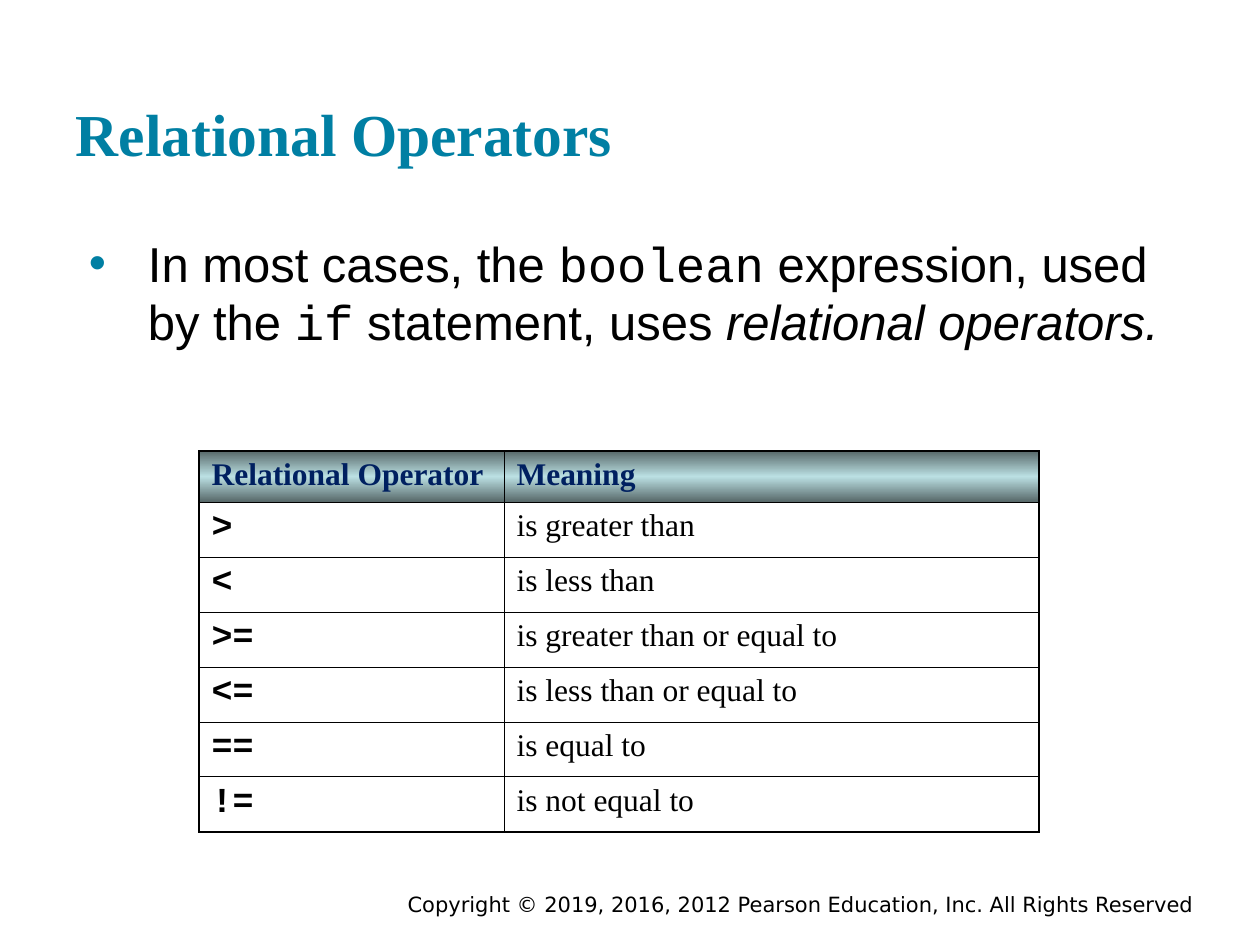
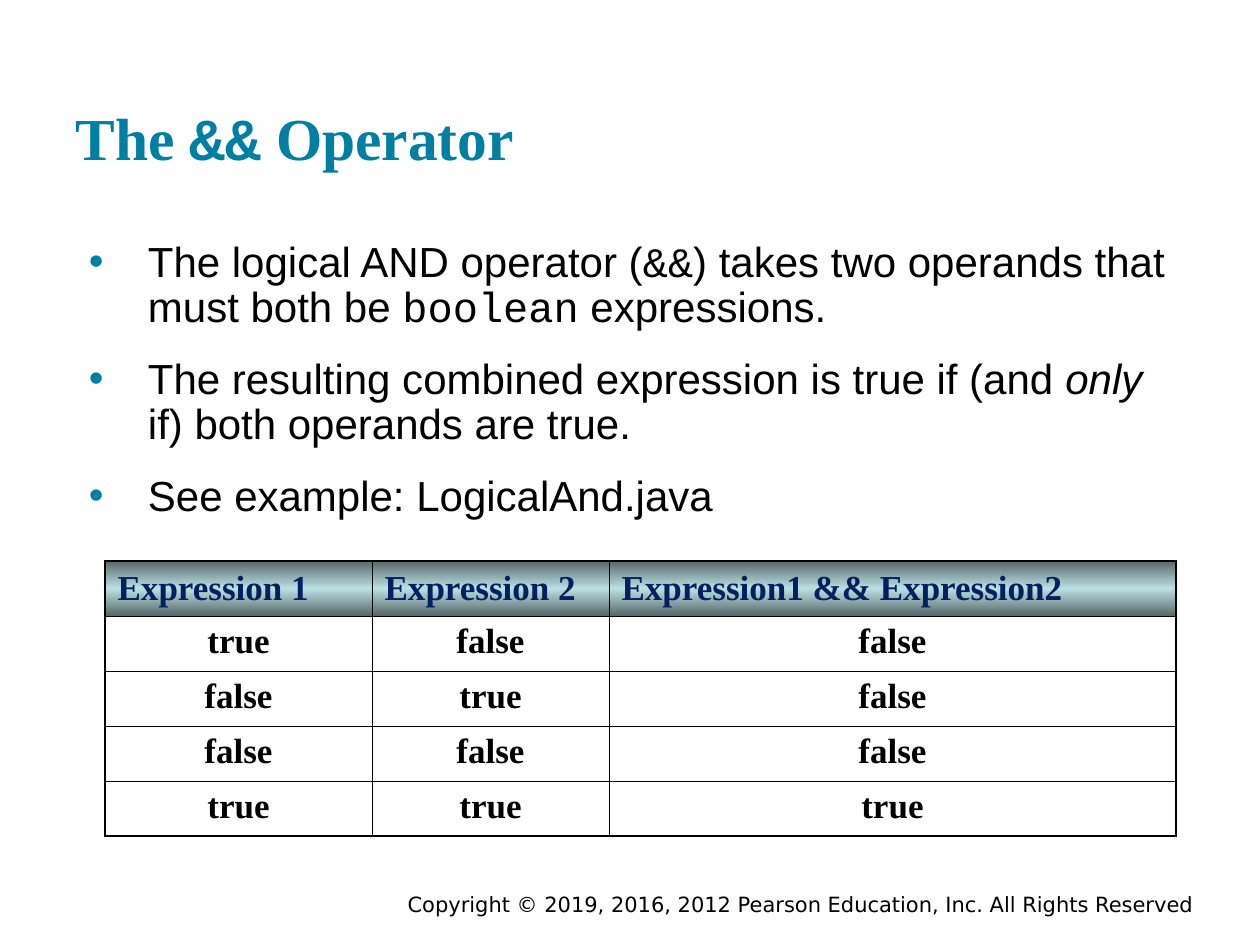
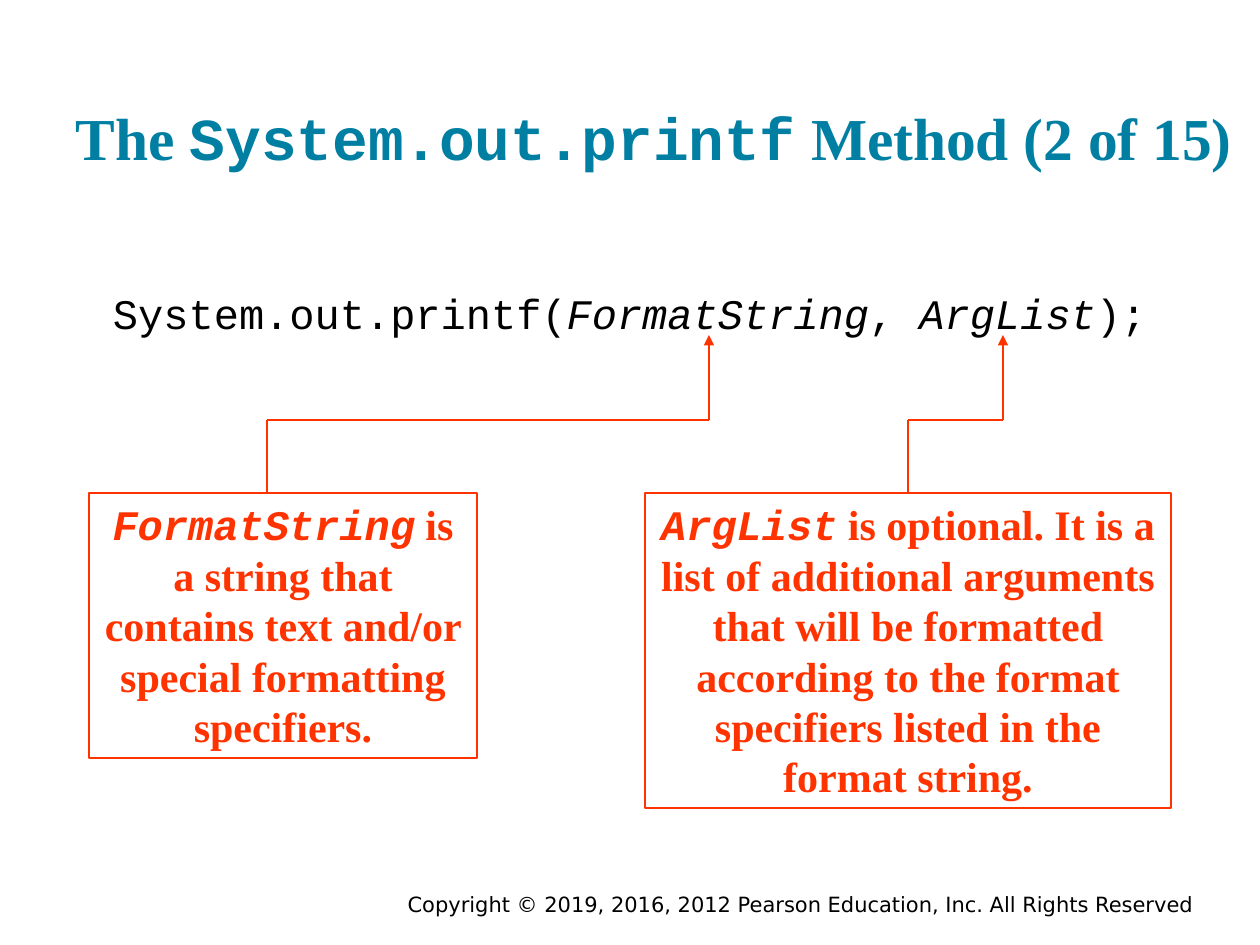
import pptx
import pptx.dml.color
import pptx.enum.shapes
import pptx.enum.text
import pptx.oxml
import pptx.oxml.ns
import pptx.util

PX = 914400 / 126
ALIGN = pptx.enum.text.PP_ALIGN
ANCHOR = pptx.enum.text.MSO_ANCHOR
FIT = pptx.enum.text.MSO_AUTO_SIZE

# Shared colours and type styles
TEAL, NAVY, RED, BLACK = "007FA3", "002060", "FF3300", "000000"
HEADER_GRADIENT = [(0, "576869"), (50, "BBE0E3"), (100, "576869")]
OUTER_BORDER, INNER_BORDER = 1.08, 0.45

TITLE = {"size": 34, "name": "Times New Roman", "bold": True, "color": TEAL}
BODY = {"size": 28, "name": "Arial", "color": BLACK}
SMALL_BODY = BODY | {"size": 24}
LISTING = {"size": 24, "name": "Courier New", "color": BLACK}
CALLOUT = {"size": 24, "name": "Times New Roman", "bold": True, "color": RED}
FOOTER = {"size": 12, "name": "DejaVu Sans", "color": BLACK}
HEADING = {"size": 18, "name": "Times New Roman", "bold": True, "color": NAVY}
MEANING = {"size": 18, "name": "Times New Roman", "color": BLACK}
OPERATOR = {"size": 20, "name": "Courier New", "bold": True, "color": BLACK}
TRUTH = OPERATOR | {"name": "Times New Roman"}

# Changes a run makes to the style of its paragraph
CODE = {"name": "Courier New"}
ITALIC = {"italic": True}


def px(length):
    return pptx.util.Emu(round(length * PX))


def rgb(value):
    return pptx.dml.color.RGBColor.from_string(value)


def drawing_xml(xml):
    """Parse one element of the drawing namespace."""
    namespace = pptx.oxml.ns.nsdecls("a")
    return pptx.oxml.parse_xml(f"<a:wrap {namespace}>{xml}</a:wrap>")[0]


def set_values(target, values):
    for attribute, value in values.items():
        setattr(target, attribute, value)


def format_font(font, style):
    values = dict(style)
    font.color.rgb = rgb(values.pop("color"))
    values["size"] = pptx.util.Pt(values["size"])
    set_values(font, values)


def write_runs(paragraph, runs, style, **layout):
    """Fill a paragraph with strings or (string, style change) pairs."""
    set_values(paragraph, layout)
    for part in runs:
        text, change = (part, {}) if isinstance(part, str) else part
        run = paragraph.add_run()
        run.text = text
        format_font(run.font, style | change)


def set_frame(frame, horizontal=13, vertical=6, **values):
    margins = {"margin_left": px(horizontal), "margin_right": px(horizontal),
               "margin_top": px(vertical), "margin_bottom": px(vertical)}
    set_values(frame, margins | {"word_wrap": True} | values)


def add_text(slide, box, **frame_values):
    textbox = slide.shapes.add_textbox(*map(px, box))
    set_frame(textbox.text_frame, **frame_values)
    return textbox


def add_footer(slide, layout):
    """Write the copyright line and hand it to the layout all slides use."""
    footer = add_text(slide, (220, 886, 987, 28))
    write_runs(footer.text_frame.paragraphs[0],
               ["Copyright © 2019, 2016, 2012 Pearson Education, Inc. "
                "All Rights Reserved"], FOOTER, alignment=ALIGN.RIGHT)
    layout.element.cSld.spTree.append(footer.element)


def add_title(slide, runs, top=34, width=1134):
    title = slide.shapes.title
    set_values(title, {"left": px(63), "top": px(top),
                       "width": px(width), "height": px(151)})
    set_frame(title.text_frame, vertical=13, auto_size=FIT.NONE,
              vertical_anchor=ANCHOR.BOTTOM)
    write_runs(title.text_frame.paragraphs[0], runs, TITLE,
               alignment=ALIGN.LEFT)


def add_bullets(slide, top, items, style, line_spacing=1.0):
    frame = add_text(slide, (63, top, 1134, 624), vertical=13).text_frame
    for index, runs in enumerate(items):
        paragraph = frame.add_paragraph() if index else frame.paragraphs[0]
        properties = paragraph._p.get_or_add_pPr()
        properties.set("marL", str(px(72)))
        properties.set("indent", str(px(-59)))
        properties.append(drawing_xml(
            f'<a:buClr><a:srgbClr val="{TEAL}"/></a:buClr>'))
        properties.append(drawing_xml('<a:buFont typeface="Arial"/>'))
        properties.append(drawing_xml('<a:buChar char="•"/>'))
        write_runs(paragraph, runs, style, line_spacing=line_spacing,
                   space_before=pptx.util.Pt(15 if index else 0))


def add_borders(cell, edges):
    """Draw cell borders; edges says which sides lie on the table's rim."""
    properties = cell._tc.get_or_add_tcPr()
    for side in "LRTB":
        width = OUTER_BORDER if side in edges else INNER_BORDER
        properties.append(drawing_xml(
            f'<a:ln{side} w="{pptx.util.Pt(width)}"><a:solidFill>'
            f'<a:srgbClr val="{BLACK}"/></a:solidFill></a:ln{side}>'))


def fill_header(cell):
    stops = "".join(
        f'<a:gs pos="{place * 1000}"><a:srgbClr val="{color}"/></a:gs>'
        for place, color in HEADER_GRADIENT)
    cell._tc.get_or_add_tcPr().append(drawing_xml(
        f'<a:gradFill rotWithShape="1"><a:gsLst>{stops}</a:gsLst>'
        '<a:lin ang="5400000" scaled="1"/></a:gradFill>'))


def add_grid(slide, corner, widths, heights, rows, heading, column_styles,
             alignment=ALIGN.LEFT, heading_anchor=ANCHOR.TOP):
    table = slide.shapes.add_table(
        len(rows), len(widths), *map(px, corner),
        px(sum(widths)), px(sum(heights))).table
    set_values(table, {"first_row": False, "horz_banding": False})
    for column, width in zip(table.columns, widths):
        column.width = px(width)
    for y, texts in enumerate(rows):
        table.rows[y].height = px(heights[y])
        for x, text in enumerate(texts):
            cell = table.cell(y, x)
            rim = {"L": x == 0, "R": x == len(widths) - 1,
                   "T": y == 0, "B": y == len(rows) - 1}
            add_borders(cell, [side for side in rim if rim[side]])
            paragraph = cell.text_frame.paragraphs[0]
            if y == 0:
                fill_header(cell)
                cell.vertical_anchor = heading_anchor
                write_runs(paragraph, [text], heading)
            else:
                cell.fill.background()
                write_runs(paragraph, [text], column_styles[x],
                           alignment=alignment)


def add_line(slide, start, end, arrow=False):
    line = slide.shapes.add_connector(
        pptx.enum.shapes.MSO_CONNECTOR.STRAIGHT, *map(px, start + end))
    line.line.color.rgb = rgb(RED)
    line.line.width = pptx.util.Pt(0.75)
    if arrow:
        line.line._get_or_add_ln().append(
            drawing_xml('<a:tailEnd type="triangle"/>'))
    line.element.spPr.append(drawing_xml("<a:effectLst/>"))
    return line


def add_callout(slide, box, runs, stem, target):
    """Frame an explanation and lead an arrow from it up to the code."""
    note = slide.shapes.add_shape(
        pptx.enum.shapes.MSO_SHAPE.RECTANGLE, *map(px, box))
    note.shadow.inherit = False
    note.fill.background()
    note.line.color.rgb = rgb(RED)
    note.line.width = pptx.util.Pt(0.75)
    set_frame(note.text_frame, vertical_anchor=ANCHOR.TOP,
              auto_size=FIT.SHAPE_TO_FIT_TEXT)
    write_runs(note.text_frame.paragraphs[0], runs, CALLOUT,
               alignment=ALIGN.CENTER)

    left, top, width, _ = box
    bend, tip = 420, 335
    riser = add_line(slide, (stem, top), (stem, bend))
    if stem == left + width / 2:
        riser.begin_connect(note, 0)
    add_line(slide, (stem, bend), (target, bend))
    add_line(slide, (target, bend), (target, tip), arrow=True)


def relational_operators(slide):
    add_title(slide, ["Relational Operators"], top=30)
    add_bullets(slide, 220, [
        ["In most cases, the ", ("boolean", CODE),
         " expression, used by the ", ("if", CODE), " statement, uses ",
         ("relational operators.", ITALIC)],
    ], BODY)
    rows = [
        ("Relational Operator", "Meaning"),
        (">", "is greater than"),
        ("<", "is less than"),
        (">=", "is greater than or equal to"),
        ("<=", "is less than or equal to"),
        ("==", "is equal to"),
        ("!=", "is not equal to"),
    ]
    add_grid(slide, (199, 451), (305, 535), [51] + [55] * 6, rows,
             HEADING, (OPERATOR, MEANING))


def and_operator(slide):
    add_title(slide, ["The ", ("&&", CODE), " Operator"])
    add_bullets(slide, 228, [
        ["The logical AND operator (", ("&&", CODE),
         ") takes two operands that must both be ", ("boolean", CODE),
         " expressions."],
        ["The resulting combined expression is true if (and ",
         ("only", ITALIC), " if) both operands are true."],
        ["See example: LogicalAnd.java"],
    ], SMALL_BODY, line_spacing=0.9)
    rows = [
        ("Expression 1", "Expression 2", "Expression1 && Expression2"),
        ("true", "false", "false"),
        ("false", "true", "false"),
        ("false", "false", "false"),
        ("true", "true", "true"),
    ]
    add_grid(slide, (105, 561), (267, 237, 567), [55] * 5, rows,
             HEADING | {"size": 20}, [TRUTH] * 3, ALIGN.CENTER, ANCHOR.MIDDLE)


def printf_method(slide):
    add_title(slide, ["The ", ("System.out.printf", CODE),
                      " Method (2 of 15)"], width=1187)
    call = add_text(slide, (100, 272, 1071, 150))
    call.text_frame.margin_top = px(16)
    write_runs(call.text_frame.paragraphs[0],
               ["System.out.printf(", ("FormatString", ITALIC), ", ",
                ("ArgList", ITALIC), ");"], LISTING)
    add_callout(slide, (89, 493, 388, 265), [
        ("FormatString", CODE | ITALIC),
        " is a string that contains text and/or special formatting "
        "specifiers."], stem=267, target=709)
    add_callout(slide, (645, 493, 526, 315), [
        ("ArgList", CODE | ITALIC),
        " is optional. It is a list of additional arguments that will be "
        "formatted according to the format specifiers listed in the format "
        "string."], stem=908, target=1003)


def main():
    deck = pptx.Presentation()
    deck.slide_width, deck.slide_height = px(1260), px(945)
    title_only = deck.slide_layouts[5]
    for number, build in enumerate(
            (relational_operators, and_operator, printf_method)):
        slide = deck.slides.add_slide(title_only)
        if number == 0:
            add_footer(slide, title_only)
        build(slide)
    deck.save("out.pptx")


if __name__ == "__main__":
    main()
